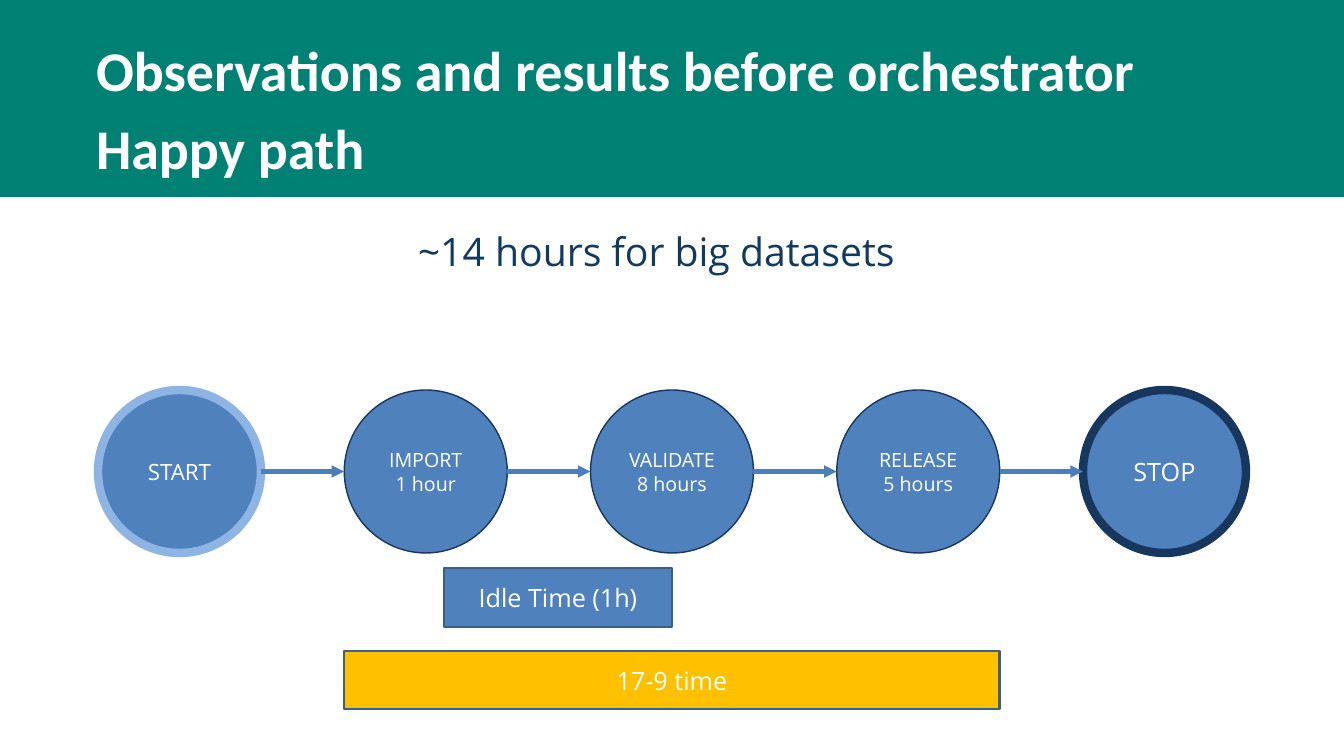
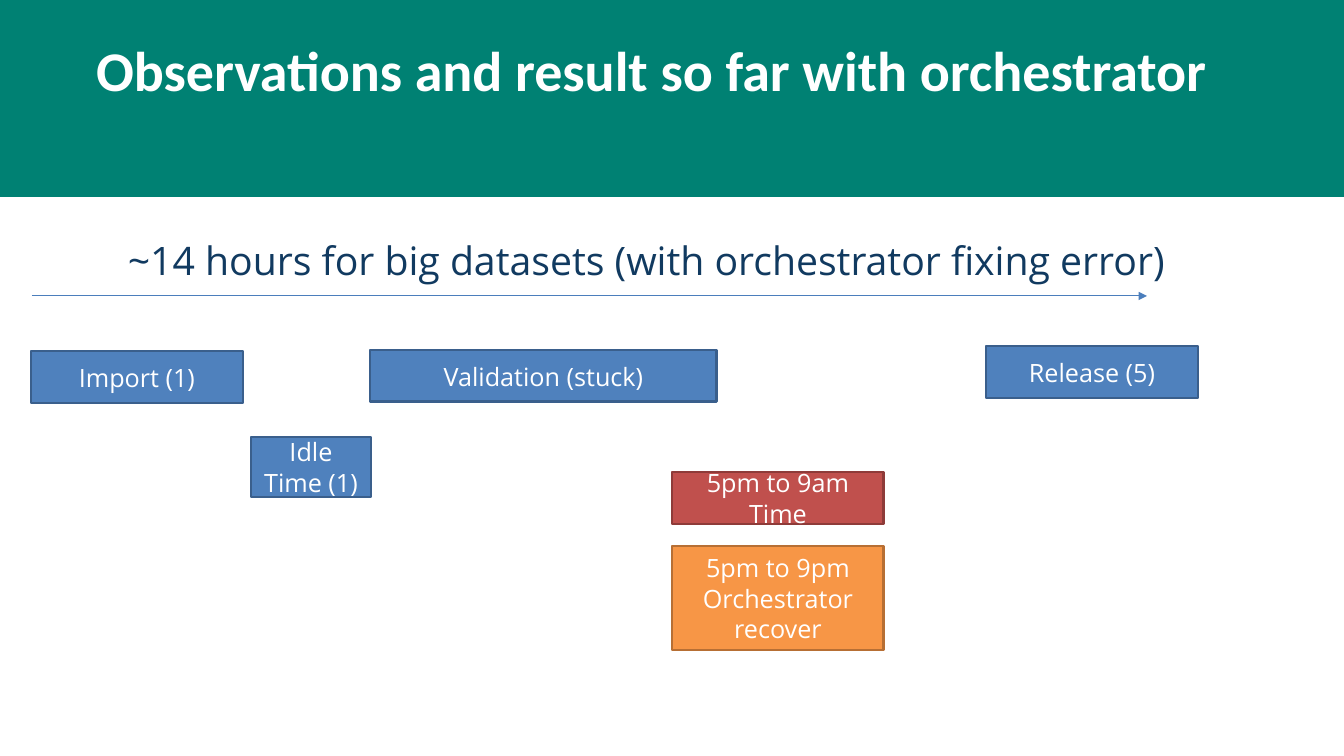
from pptx import Presentation
from pptx.dml.color import RGBColor
from pptx.enum.shapes import MSO_CONNECTOR, MSO_SHAPE
from pptx.enum.text import MSO_ANCHOR, MSO_AUTO_SIZE, PP_ALIGN
from pptx.oxml.ns import qn
from pptx.util import Emu, Pt
from lxml import etree

RECTANGLE, ELLIPSE = MSO_SHAPE.RECTANGLE, MSO_SHAPE.OVAL
STRAIGHT = MSO_CONNECTOR.STRAIGHT
TOP, MIDDLE = MSO_ANCHOR.TOP, MSO_ANCHOR.MIDDLE
NO_FIT, GROW = MSO_AUTO_SIZE.NONE, MSO_AUTO_SIZE.SHAPE_TO_FIT_TEXT
LEFT, CENTER = PP_ALIGN.LEFT, PP_ALIGN.CENTER

PAGE_WIDTH, PAGE_HEIGHT, BAND_HEIGHT = 1344, 756, 197
EMU_PER_PX = 914400 / 100.8
TITLE_FONT, BODY_FONT = "Calibri", "Open Sans"
WHITE, TEAL, INK = "FFFFFF", "008173", "113A60"
BLUE, BLUE_EDGE, ARROW_BLUE = "4F81BD", "3A5F8C", "4B7EBC"
NAVY, PALE_BLUE, AMBER = "17375E", "8EB4E3", "FFC000"
RED, RED_EDGE, ORANGE, ORANGE_EDGE = "C0504D", "8E3B39", "F79646", "B76F34"


def px(value):
    return Emu(round(value * EMU_PER_PX))


def color(value):
    return RGBColor.from_string(value)


def write(frame, lines, size, align, font=BODY_FONT, fill=WHITE, bold=False, gap=0):
    frame.text = "\n".join(lines)
    for index, para in enumerate(frame.paragraphs):
        para.alignment = align
        if index:
            para.space_before = Pt(gap)
        for span in para.runs:
            span.font.name = font
            span.font.size = Pt(size)
            span.font.bold = bold
            span.font.color.rgb = color(fill)


def add_block(page, kind, box, fill, edge=None, edge_width=2, lines=(), size=18):
    block = page.shapes.add_shape(kind, *map(px, box))
    block.shadow.inherit = False
    block.fill.solid()
    block.fill.fore_color.rgb = color(fill)
    if edge:
        block.line.color.rgb = color(edge)
        block.line.width = Pt(edge_width)
    else:
        block.line.fill.background()
    if lines:
        block.text_frame.vertical_anchor = MIDDLE
        write(block.text_frame, lines, size, CENTER)
    return block


def add_arrow(page, left, right, y, width):
    arrow = page.shapes.add_connector(STRAIGHT, px(left), px(y), px(right), px(y))
    arrow.line.color.rgb = color(ARROW_BLUE)
    arrow.line.width = Pt(width)
    properties = arrow.element.spPr
    etree.SubElement(properties.find(qn("a:ln")), qn("a:tailEnd"), type="triangle")
    etree.SubElement(properties, qn("a:effectLst"))


def add_headline(page, box, text):
    headline = page.shapes.add_textbox(*map(px, box))
    frame = headline.text_frame
    frame.word_wrap = False
    frame.auto_size = GROW
    write(frame, [text], 28, LEFT, fill=INK)


def add_page(deck, layout, title_lines, title_width):
    page = deck.slides.add_slide(layout)
    title = page.shapes.title
    title.left, title.top = px(86), px(30)
    title.width, title.height = px(title_width), px(146)
    frame = title.text_frame
    frame.auto_size = NO_FIT
    frame.vertical_anchor = TOP
    write(frame, title_lines, 40, LEFT, TITLE_FONT, bold=True, gap=8)
    return page


def add_layout_band(page, layout):
    band = add_block(page, RECTANGLE, (0, 0, PAGE_WIDTH, BAND_HEIGHT), TEAL)
    layout.shapes.element.insert(2, band.element)


def add_process(page, box):
    left, top, width, diameter = box
    steps = [
        (["START"], 16, PALE_BLUE, 6),
        (["IMPORT", "1 hour"], 14, NAVY, 1),
        (["VALIDATE", "8 hours"], 14, NAVY, 1),
        (["RELEASE", "5 hours"], 14, NAVY, 1),
        (["STOP"], 18, NAVY, 6),
    ]
    pitch = (width - diameter) / (len(steps) - 1)
    for index, (lines, size, edge, edge_width) in enumerate(steps):
        circle = (left + index * pitch, top, diameter, diameter)
        add_block(page, ELLIPSE, circle, BLUE, edge, edge_width, lines, size)
    for index in range(len(steps) - 1):
        start = left + index * pitch + diameter
        add_arrow(page, start, start + pitch - diameter, top + diameter / 2, 3)


def add_blocks(page, box, blocks):
    left, top = box
    for x, y, width, height, fill, edge, text in blocks:
        place = (left + x, top + y, width, height)
        add_block(page, RECTANGLE, place, fill, edge, lines=[text])


def build_happy_path(page):
    add_process(page, (98, 390, 1148, 163))
    add_blocks(page, (344, 568), [
        (100, 0, 228, 59, BLUE, BLUE_EDGE, "Idle Time (1h)"),
        (0, 83, 656, 58, AMBER, BLUE_EDGE, "17-9 time"),
    ])
    add_headline(page, (408, 222, 502, 58), "~14 hours for big datasets")


def build_timeline(page):
    add_arrow(page, 32, 1147, 296, 0.75)
    add_headline(page, (118, 231, 1068, 58),
                 "~14 hours for big datasets (with orchestrator fixing error)")
    add_blocks(page, (31, 346), [
        (0, 5, 212, 52, BLUE, BLUE_EDGE, "Import (1)"),
        (339, 4, 347, 52, BLUE, BLUE_EDGE, "Validation (stuck)"),
        (955, 0, 212, 52, BLUE, BLUE_EDGE, "Release (5)"),
        (220, 91, 120, 60, BLUE, BLUE_EDGE, "Idle Time (1)"),
        (641, 126, 212, 52, RED, RED_EDGE, "5pm to 9am Time"),
        (641, 200, 212, 104, ORANGE, ORANGE_EDGE, "5pm to 9pm Orchestrator recover"),
    ])


def main():
    deck = Presentation()
    deck.slide_width, deck.slide_height = px(PAGE_WIDTH), px(PAGE_HEIGHT)
    layout = deck.slide_layouts[5]
    happy_path = add_page(
        deck, layout, ["Observations and results before orchestrator", "Happy path"], 1258)
    add_layout_band(happy_path, layout)
    build_happy_path(happy_path)
    build_timeline(add_page(
        deck, layout, ["Observations and result so far with orchestrator"], 1187))
    deck.save("out.pptx")


if __name__ == "__main__":
    main()
